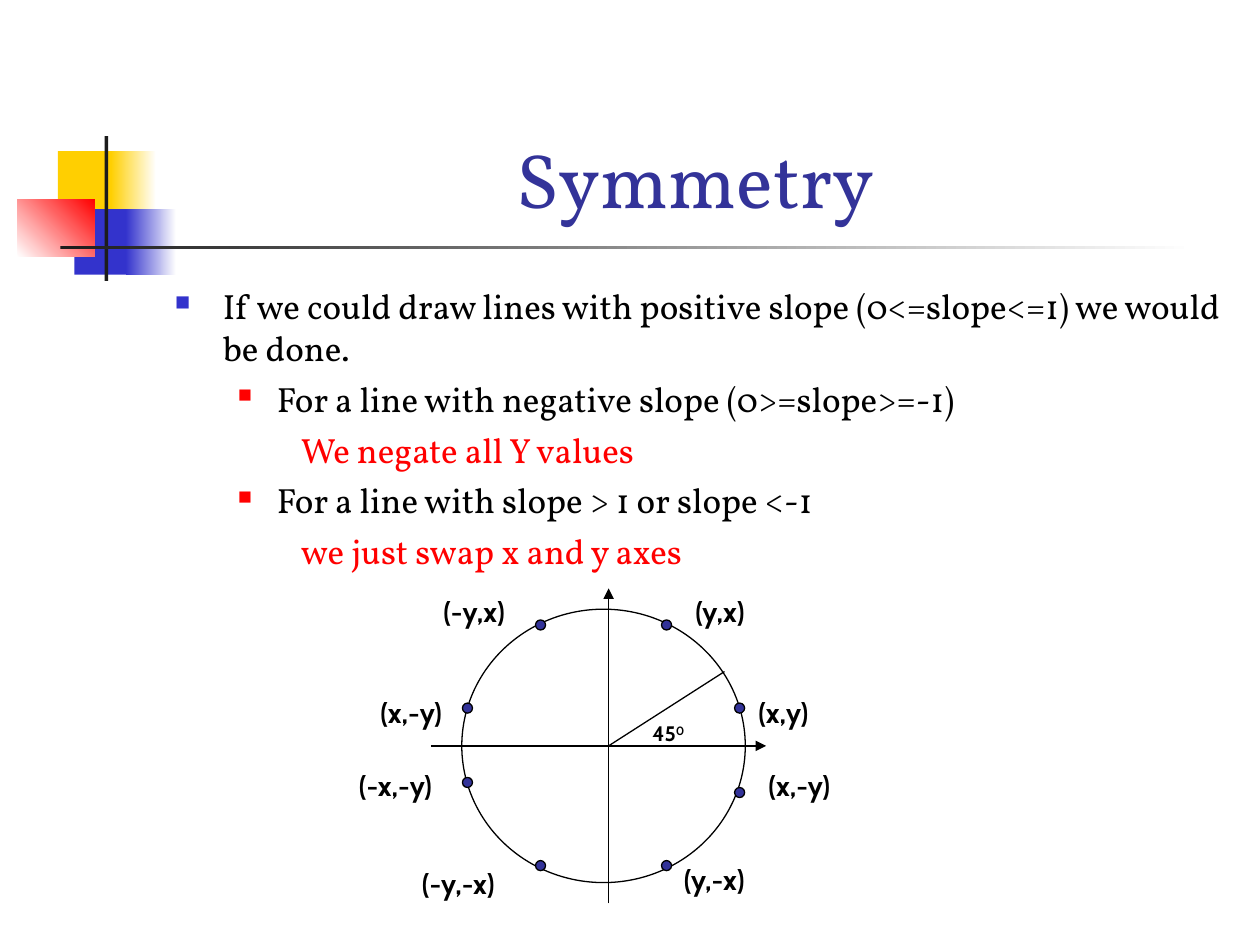
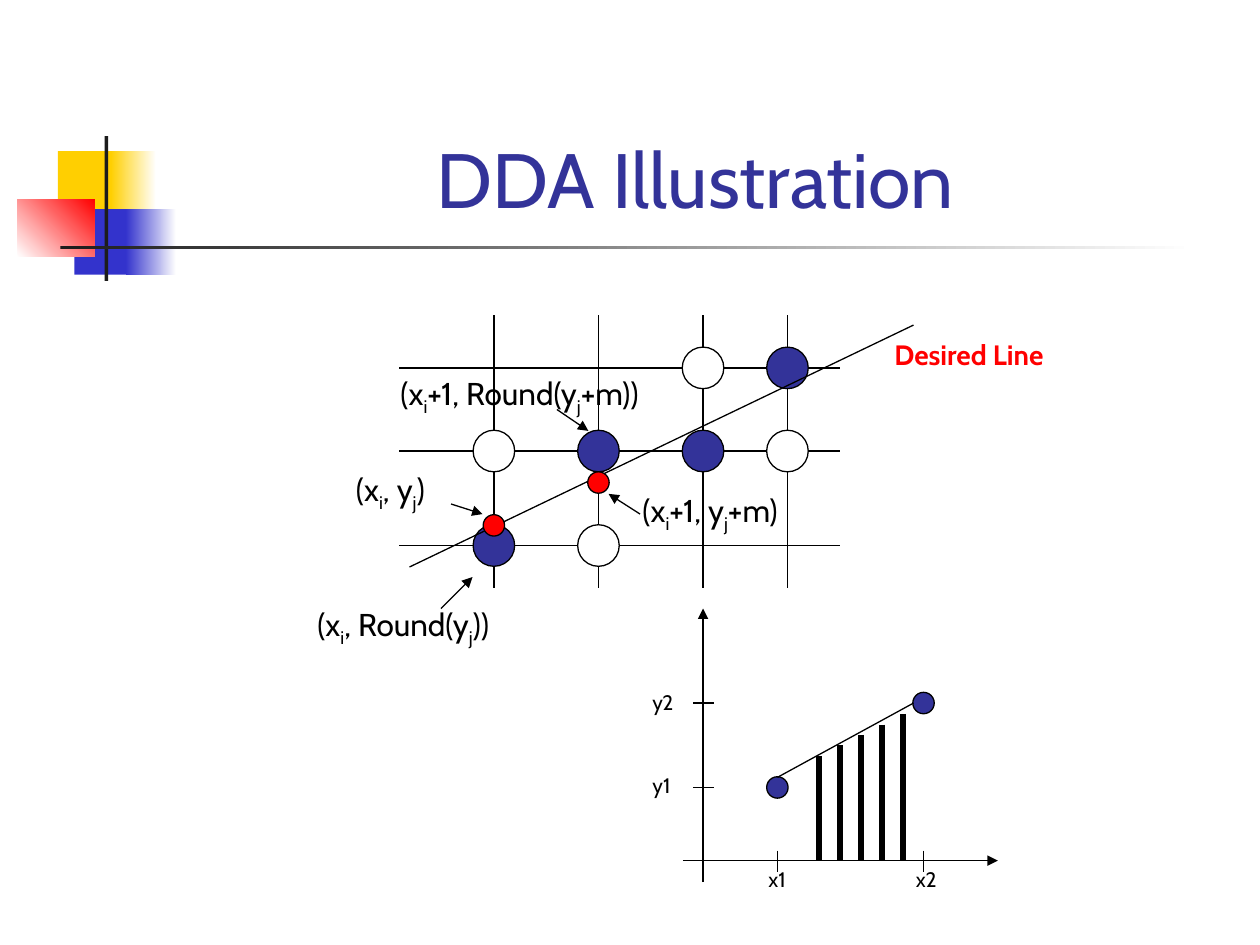
from dataclasses import dataclass

from lxml.etree import SubElement
from pptx import Presentation
from pptx.dml.color import RGBColor as RGB
from pptx.enum.shapes import MSO_CONNECTOR as LINK, MSO_SHAPE as SHAPE
from pptx.enum.text import MSO_ANCHOR as ANCHOR, PP_ALIGN as ALIGN
from pptx.oxml.ns import qn
from pptx.util import Inches, Pt


@dataclass(frozen=True)
class Theme:
    black: str = "000000"
    white: str = "FFFFFF"
    red: str = "FF0000"
    gold: str = "FFCF01"
    blue: str = "3333CC"
    navy: str = "333399"
    dark: str = "1C1C1C"
    sans: str = "Cabin"
    serif: str = "Vollkorn"
    title: int = 44
    body: int = 20
    math: int = 18
    label: int = 16
    small: int = 12
    thin: float = 0.75
    thick: float = 3


T = Theme()


def color(code):
    return RGB.from_string(code)


def add_run(para, text, font, size, code, bold=False, shift=0):
    """Add a run; shift raises or lowers it, in percent."""
    run = para.add_run()
    run.text = text
    run.font.name = font
    run.font.size = Pt(size)
    run.font.bold = bold
    run.font.color.rgb = color(code)
    if shift:
        run._r.get_or_add_rPr().set("baseline", str(shift * 1000))


def add_box(slide, x, y, w, h):
    frame = slide.shapes.add_textbox(*map(Inches, (x, y, w, h))).text_frame
    frame.word_wrap = True
    return frame


def add_label(slide, x, y, w, parts, size=T.label, code=T.black,
              bold=False, shift=-25):
    """Write parts in turn on the base line and shifted off it."""
    para = add_box(slide, x, y, w, 0.4).paragraphs[0]
    for i, part in enumerate(parts):
        add_run(para, part, T.sans, size, code, bold, shift if i % 2 else 0)


def add_shape(slide, kind, x, y, w, h):
    shape = slide.shapes.add_shape(kind, *map(Inches, (x, y, w, h)))
    shape.shadow.inherit = False
    return shape


def add_block(slide, x, y, w, h, first, last=None, angle=0):
    """Add a plain rectangle, or one that fades from first to last."""
    block = add_shape(slide, SHAPE.RECTANGLE, x, y, w, h)
    block.line.fill.background()
    fill = block.fill
    if last is None:
        fill.solid()
        fill.fore_color.rgb = color(first)
        return
    fill.gradient()
    fill.gradient_angle = angle
    for stop, code in zip(fill.gradient_stops, (first, last)):
        stop.color.rgb = color(code)


def add_disc(slide, x, y, w, h, code=None, kind=SHAPE.FLOWCHART_CONNECTOR):
    """Add an outlined disc centred on x, y."""
    disc = add_shape(slide, kind, x - w / 2, y - h / 2, w, h)
    if code:
        disc.fill.solid()
        disc.fill.fore_color.rgb = color(code)
    else:
        disc.fill.background()
    disc.line.color.rgb = color(T.black)
    disc.line.width = Pt(T.thin)


def add_line(slide, x1, y1, x2, y2, width=T.thin, arrow=False):
    link = slide.shapes.add_connector(
        LINK.STRAIGHT, *map(Inches, (x1, y1, x2, y2)))
    link.line.color.rgb = color(T.black)
    link.line.width = Pt(width)
    if arrow:
        SubElement(link.line._get_or_add_ln(), qn("a:tailEnd"), type="triangle")
    SubElement(link._element.spPr, qn("a:effectLst"))


def add_arrow(slide, *ends):
    add_line(slide, *ends, arrow=True)


def add_point(para, text, left, hang, code=T.black, mark=None, scale=0):
    """Fill a body paragraph; mark is the colour of its bullet."""
    props = para._p.get_or_add_pPr()
    props.set("marL", str(Inches(left)))
    props.set("indent", str(-Inches(hang)))
    if mark:
        tint = SubElement(props, qn("a:buClr"))
        SubElement(tint, qn("a:srgbClr"), val=mark)
        SubElement(props, qn("a:buSzPct"), val=str(scale * 1000))
        SubElement(props, qn("a:buChar"), char="■")
    add_run(para, text, T.serif, T.body, code)


def add_page(deck, title, font):
    """Start a slide with the shared blocks, rules and title."""
    slide = deck.slides.add_slide(deck.slide_layouts[6])
    add_block(slide, 0.46, 1.2, 0.48, 0.52, T.gold)
    add_block(slide, 0.88, 1.2, 0.36, 0.52, T.gold, T.white)
    add_block(slide, 0.59, 1.66, 0.46, 0.52, T.blue)
    add_block(slide, 1, 1.66, 0.4, 0.52, T.blue, T.white)
    add_block(slide, 0.14, 1.58, 0.61, 0.46, T.white, T.red, 45)
    add_block(slide, 0.83, 1.08, 0.03, 1.15, T.dark)
    add_block(slide, 0.48, 1.95, 9, 0.03, T.dark, T.white)
    frame = add_box(slide, 1.26, 0.23, 8.52, 1.6)
    frame.vertical_anchor = ANCHOR.BOTTOM
    para = frame.paragraphs[0]
    para.alignment = ALIGN.CENTER
    add_run(para, title, font, T.title, T.navy)
    return slide


def add_rules(slide):
    """Write the bulleted symmetry rules."""
    top = dict(left=0.38, hang=0.38, mark=T.blue, scale=60)
    case = dict(left=0.81, hang=0.31, mark=T.red, scale=55)
    fix = dict(left=1.25, hang=0.25, code=T.red)
    rules = [
        ("If we could draw lines with positive slope (0<=slope<=1) "
         "we would be done.", top),
        ("For a line with negative slope (0>=slope>=-1)", case),
        ("We negate all Y values", fix),
        ("For a line with slope > 1 or slope <-1", case),
        ("we just swap x and y axes", fix),
    ]
    frame = add_box(slide, 1.29, 2.21, 8.5, 4.5)
    for i, (text, style) in enumerate(rules):
        para = frame.add_paragraph() if i else frame.paragraphs[0]
        add_point(para, text, **style)
        if i:
            para.space_before = Pt(5)


def add_circle(slide):
    """Draw the circle with its eight matching points."""
    mid_x, mid_y = 4.83, 5.92
    add_disc(slide, 4.79, mid_y, 2.25, 2.17, kind=SHAPE.OVAL)
    add_arrow(slide, mid_x, 7.17, mid_x, 4.67)
    add_arrow(slide, 3.42, mid_y, 6.08, mid_y)
    add_line(slide, mid_x, mid_y, 5.75, 5.33)
    add_label(slide, 5.08, 5.67, 0.67, ["45", "0"], T.small, bold=True, shift=30)
    points = [
        (5.87, 5.62, "(x,y)", 5.92, 5.47),
        (5.29, 4.96, "(y,x)", 5.42, 4.67),
        (5.87, 6.29, "(x,-y)", 6, 6.05),
        (5.29, 6.87, "(y,-x)", 5.33, 6.8),
        (3.71, 5.62, "(x,-y)", 2.92, 5.47),
        (4.29, 4.96, "(-y,x)", 3.42, 4.67),
        (3.71, 6.21, "(-x,-y)", 2.75, 6.05),
        (4.29, 6.87, "(-y,-x)", 3.25, 6.83),
    ]
    for x, y, name, left, top in points:
        add_disc(slide, x, y, 0.08, 0.08, T.navy)
        add_label(slide, left, top, 1.5, [name], bold=True)


def add_grid(slide):
    """Draw the pixel grid, the line through it and its labels."""
    cols, rows = (3.92, 4.75, 5.58, 6.25), (2.92, 3.58, 4.33)
    for y in rows:
        add_line(slide, 3.17, y, 6.67, y)
    for x in cols:
        add_line(slide, x, 2.5, x, 4.67)
    lit = [(0, 2), (1, 1), (2, 1), (3, 0)]
    off = [(0, 1), (1, 2), (2, 0), (3, 1)]
    for cells, code in ((lit, T.navy), (off, T.white)):
        for col, row in cells:
            add_disc(slide, cols[col], rows[row], 0.33, 0.33, code)
    add_line(slide, 3.25, 4.5, 7.25, 2.58)
    for x, y in ((cols[0], 4.17), (cols[1], 3.83)):
        add_disc(slide, x, y, 0.17, 0.17, T.red)
    for ends in ((3.5, 4.83, 3.75, 4.58), (3.58, 4, 3.83, 4.08),
                 (5.08, 4.08, 4.83, 3.92), (4.42, 3.25, 4.67, 3.42)):
        add_arrow(slide, *ends)
    for x, y, w, parts in (
            (2.42, 4.75, 2.5, ["(x", "i", ", Round(y", "j", "))"]),
            (5, 3.85, 2.5, ["(x", "i", "+1, y", "j", "+m)"]),
            (2.67, 3.68, 1.33, [" (x", "i", ", y", "j", ")"]),
            (3.08, 2.92, 2.5, ["(x", "i", "+1, Round(y", "j", "+m))"])):
        add_label(slide, x, y, w, parts, T.math)
    add_label(slide, 7, 2.63, 1.67, ["Desired Line"], code=T.red, bold=True)


def add_plot(slide):
    """Draw the small plot of a line sampled at equal steps."""
    base, axis = 6.83, 5.58
    add_arrow(slide, axis, 7, axis, 4.83)
    add_arrow(slide, 5.42, base, 7.92, base)
    for i, (x, y, left, top) in enumerate(
            ((6.17, 6.25, 6, 6.08), (7.33, 5.58, 7.17, 5.42)), 1):
        add_line(slide, x, base - 0.08, x, base + 0.09)
        add_line(slide, axis - 0.08, y, axis + 0.09, y)
        add_disc(slide, x, y, 0.17, 0.17, T.navy)
        add_label(slide, left, base, 0.58, [f"x{i}"], T.small)
        add_label(slide, 5.08, top, 0.58, [f"y{i}"], T.small)
    add_line(slide, 6.17, 6.17, 7.25, 5.58)
    for i in range(5):
        x = 6.5 + i / 6
        add_line(slide, x, 6 - i / 12, x, base, T.thick)


def main():
    deck = Presentation()
    deck.slide_width, deck.slide_height = Inches(10), Inches(7.5)
    slide = add_page(deck, "Symmetry", T.serif)
    add_rules(slide)
    add_circle(slide)
    slide = add_page(deck, "DDA Illustration", T.sans)
    add_grid(slide)
    add_plot(slide)
    deck.save("out.pptx")


if __name__ == "__main__":
    main()
